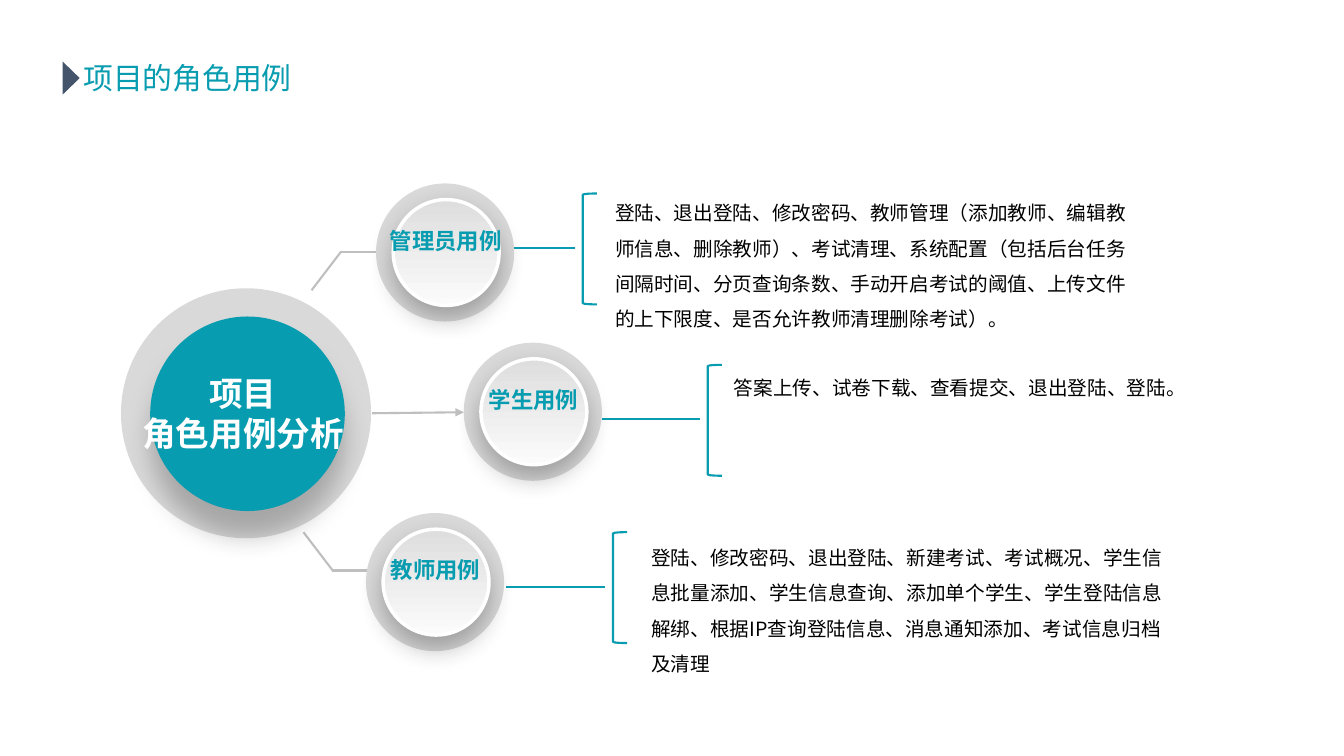
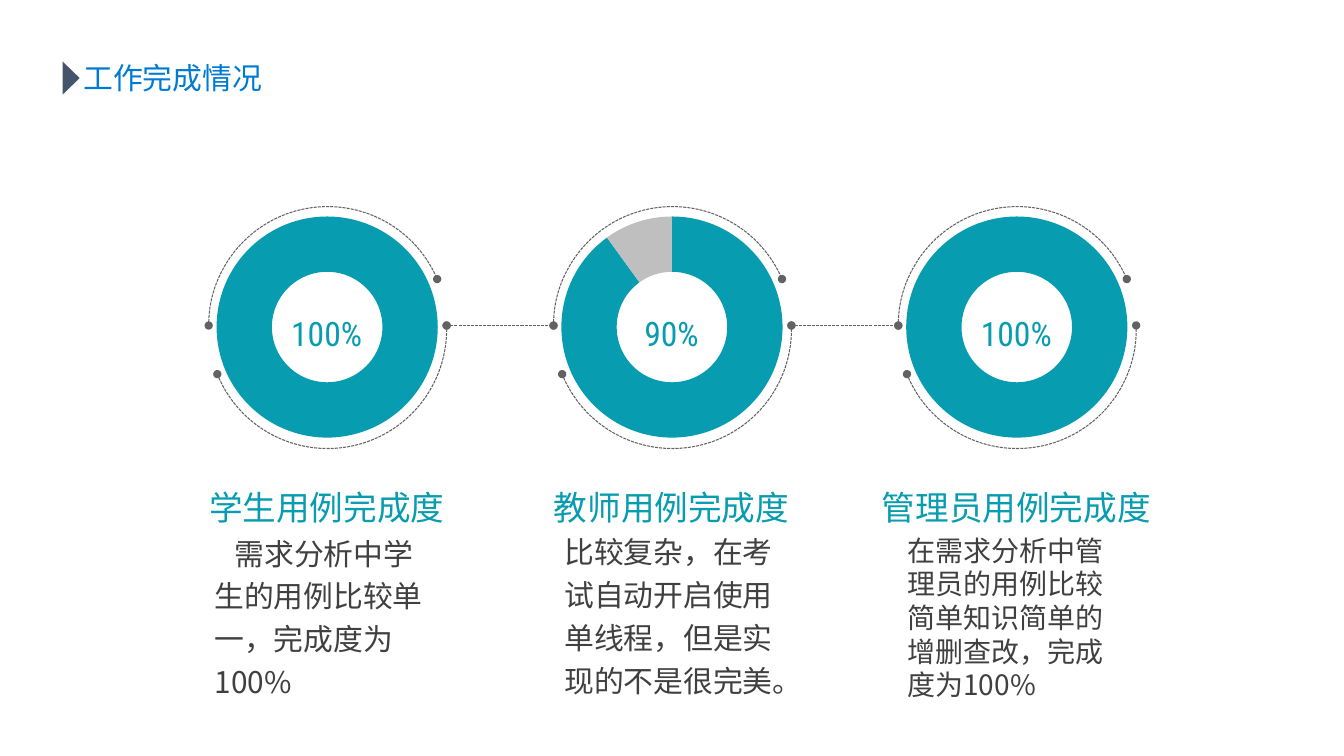
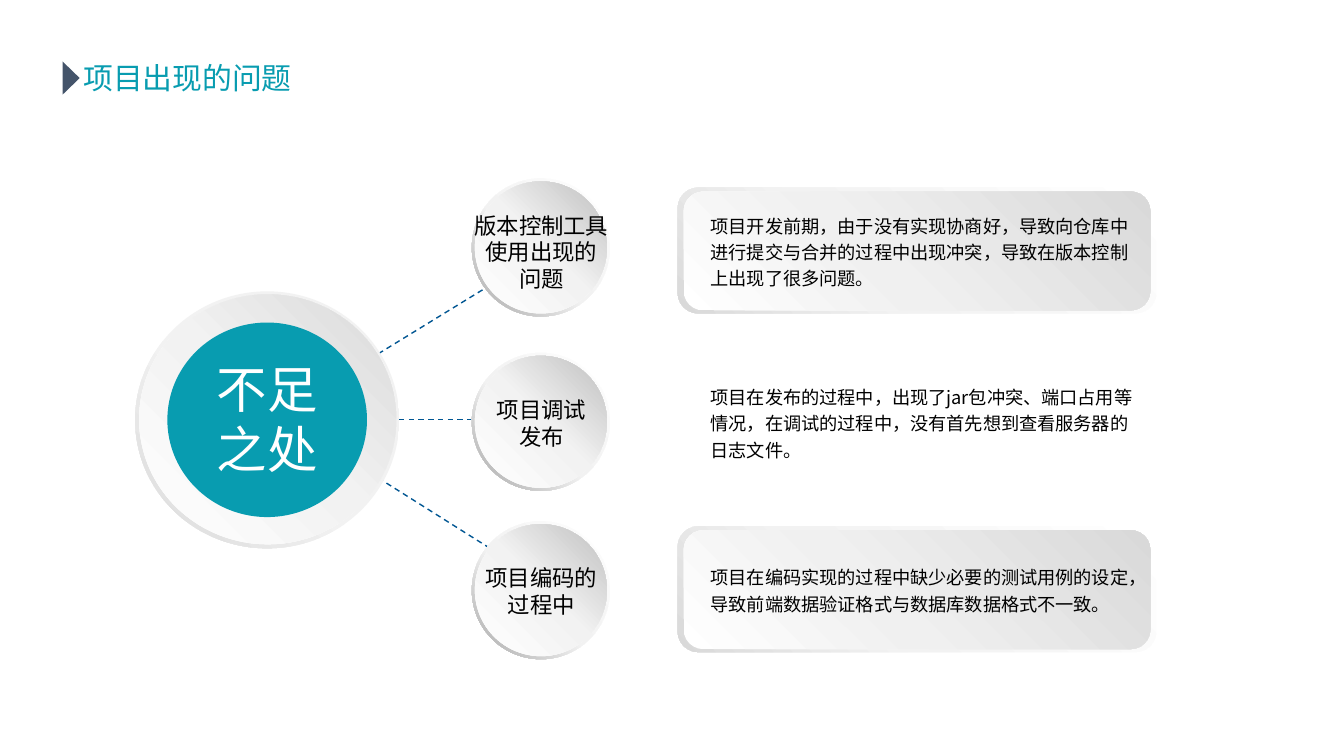
import pptx
import pptx.util
import pptx.oxml
import pptx.oxml.ns
import pptx.chart.data
from pptx.dml.color import RGBColor
from pptx.enum.chart import XL_CHART_TYPE
from pptx.enum.dml import MSO_LINE
from pptx.enum.shapes import MSO_CONNECTOR, MSO_SHAPE
from pptx.enum.text import MSO_ANCHOR, PP_ALIGN

COLORS = {
    "teal": "089CB0", "blue": "007BD4", "navy": "005692", "slate": "44546A",
    "black": "000000", "white": "FFFFFF", "text": "404040", "ring": "D9D9D9",
    "grey": "BFBFBF", "outline": "626262", "shadow": "262626",
}
SANS = "Noto Sans CJK SC"
WIDTH, HEIGHT = 13.33, 7.5

BUTTON = (90, [(0, "DEDEDE"), (100, "FBFBFB")])
DISC_RIM = (135, [(0, "FFFFFF"), (55, "F2F2F2"), (100, "A6A6A6")])
DISC_FACE = (315, [(0, "FFFFFF"), (51, "F2F2F2"), (100, "BFBFBF")])
HUB_RIM = (135, [(0, "F2F2F2"), (55, "F2F2F2"), (100, "D9D9D9")])
HUB_FACE = (315, [(0, "FFFFFF"), (51, "F2F2F2"), (100, "D9D9D9")])
CARD_RIM = (135, [(0, "FFFFFF"), (62, "F2F2F2"), (100, "D9D9D9")])
CARD_FACE = (315, [(0, "FFFFFF"), (42, "F0F0F0"), (100, "D9D9D9")])

ROLES = [
    {"name": "管理员用例", "ring": (3.73, 1.82), "line": (4.35, 5.7, 2.46), "text": (6.1, 1.88, 5.25),
     "body": "登陆、退出登陆、修改密码、教师管理（添加教师、编辑教师信息、删除教师）、考试清理、系统配置（包括后台任务间隔时间、分页查询条数、手动开启考试的阈值、上传文件的上下限度、是否允许教师清理删除考试）。"},
    {"name": "学生用例", "ring": (4.6, 3.4), "line": (5.97, 6.94, 4.16), "text": (7.28, 3.61, 5.13),
     "body": "答案上传、试卷下载、查看提交、退出登陆、登陆。"},
    {"name": "教师用例", "ring": (3.63, 5.09), "line": (5.02, 6, 5.82), "text": (6.46, 5.3, 5.25),
     "body": "登陆、修改密码、退出登陆、新建考试、考试概况、学生信息批量添加、学生信息查询、添加单个学生、学生登陆信息解绑、根据IP查询登陆信息、消息通知添加、考试信息归档及清理"},
]
BRANCHES = [(3.09, 2.88, 3.38, 2.5), (3.37, 2.5, 3.73, 2.5),
            (3.01, 5.28, 3.3, 5.66), (3.29, 5.66, 3.64, 5.66)]

PROGRESS = [
    {"name": "学生用例完成度", "done": 100, "body": "需求分析中学生的用例比较单一，完成度为100%",
     "at": (2.03, 5.18, 2.44, 1.82), "format": {"size": 21.3, "spacing": 1.2, "middle": True, "indent": 0.2}},
    {"name": "教师用例完成度", "done": 90, "body": "比较复杂，在考试自动开启使用单线程，但是实现的不是很完美。",
     "at": (5.5, 5.18, 2.44, 1.79), "format": {"size": 21.3, "spacing": 1.2, "middle": True}},
    {"name": "管理员用例完成度", "done": 100, "body": "在需求分析中管理员的用例比较简单知识简单的增删查改，完成度为100%",
     "at": (8.9, 5.24, 2.38, 1.78), "format": {"size": 20}},
]
PITCH = 3.42
ARCS = [(2.05, 180, 337), (2.09, 358, 158)]

PROBLEMS = [
    {"name": "版本控制工具\n使用出现的\n问题", "disc": 1.77, "middle": 2.48, "card": True,
     "body": "项目开发前期，由于没有实现协商好，导致向仓库中进行提交与合并的过程中出现冲突，导致在版本控制上出现了很多问题。"},
    {"name": "项目调试\n发布", "disc": 3.5, "middle": 4.18, "card": False,
     "body": "项目在发布的过程中，出现了jar包冲突、端口占用等情况，在调试的过程中，没有首先想到查看服务器的日志文件。"},
    {"name": "项目编码的\n过程中", "disc": 5.17, "middle": 5.84, "card": True,
     "body": "项目在编码实现的过程中缺少必要的测试用例的设定，导致前端数据验证格式与数据库数据格式不一致。"},
]
SPOKES = [(3.67, 4.69, 5.13, 5.61), (3.86, 4.16, 5, 4.16), (3.67, 3.56, 5.04, 2.72)]

NS = pptx.oxml.ns.nsdecls("a")
inches = pptx.util.Inches


def rgb(name):
    return RGBColor.from_string(COLORS[name])


def box(*lengths):
    return [inches(v) for v in lengths]


def add_text(slide, text, at, size=14, color="black", font=SANS, bold=False, align=PP_ALIGN.LEFT,
             spacing=None, middle=False, wrap=True, inset=(0.1, 0.05), indent=0):
    tf = slide.shapes.add_textbox(*box(*at)).text_frame
    tf.word_wrap = wrap
    tf.margin_left = tf.margin_right = inches(inset[0])
    tf.margin_top = tf.margin_bottom = inches(inset[1])
    tf.vertical_anchor = MSO_ANCHOR.MIDDLE if middle else MSO_ANCHOR.TOP
    for i, line in enumerate(text.split("\n")):
        p = tf.add_paragraph() if i else tf.paragraphs[0]
        p.alignment = align
        if spacing:
            p.line_spacing = spacing
        if indent:
            p._p.get_or_add_pPr().set("indent", str(inches(indent)))
        r = p.add_run()
        r.text = line
        r.font.size = pptx.util.Pt(size)
        r.font.bold = bold
        r.font.name = font
        r.font.color.rgb = rgb(color)
        r._r.get_or_add_rPr().append(pptx.oxml.parse_xml(f'<a:ea {NS} typeface="{font}"/>'))


def style_line(line, color, width, dash=None):
    line.color.rgb = rgb(color)
    line.width = pptx.util.Pt(width)
    if dash:
        line.dash_style = dash


def add_ends(sp, head=None, tail=None):
    ln = sp.line._get_or_add_ln()
    for tag, kind in (("headEnd", head), ("tailEnd", tail)):
        if kind:
            ln.append(pptx.oxml.parse_xml(f'<a:{tag} {NS} type="{kind}"/>'))


def add_shape(slide, kind, at, fill=None, line=None, adjust=(), shadow=None):
    sp = slide.shapes.add_shape(kind, *box(*at))
    sp.shadow.inherit = False
    for i, value in enumerate(adjust):
        sp.adjustments[i] = value
    if fill is None:
        sp.fill.background()
    elif isinstance(fill, str):
        sp.fill.solid()
        sp.fill.fore_color.rgb = rgb(fill)
    else:
        angle, stops = fill
        sp.fill.gradient()
        grad = sp._element.spPr.find(pptx.oxml.ns.qn("a:gradFill"))
        stop_xml = "".join(f'<a:gs pos="{pos * 1000}"><a:srgbClr val="{c}"/></a:gs>' for pos, c in stops)
        grad.getparent().replace(grad, pptx.oxml.parse_xml(
            f'<a:gradFill {NS} rotWithShape="1"><a:gsLst>{stop_xml}</a:gsLst>'
            f'<a:lin ang="{angle * 60000}" scaled="0"/></a:gradFill>'))
    if line:
        style_line(sp.line, *line)
    else:
        sp.line.fill.background()
    if shadow:
        alpha, blur, distance = shadow
        effects = sp._element.spPr.find(pptx.oxml.ns.qn("a:effectLst"))
        effects.append(pptx.oxml.parse_xml(
            f'<a:outerShdw {NS} blurRad="{blur * 12700}" dist="{distance * 12700}" dir="5400000" '
            f'algn="t" rotWithShape="0"><a:srgbClr val="{COLORS["shadow"]}">'
            f'<a:alpha val="{alpha * 1000}"/></a:srgbClr></a:outerShdw>'))
    return sp


def add_line(slide, ends, color, width, dash=None, head=None, tail=None):
    sp = slide.shapes.add_connector(MSO_CONNECTOR.STRAIGHT, *box(*ends))
    style_line(sp.line, color, width, dash)
    add_ends(sp, head, tail)
    sp._element.spPr.append(pptx.oxml.parse_xml(f"<a:effectLst {NS}/>"))


def add_doughnut(slide, at, done):
    data = pptx.chart.data.CategoryChartData()
    data.categories = ["1", "2"]
    data.add_series("Series 1", [done, 100 - done])
    chart = slide.shapes.add_chart(XL_CHART_TYPE.DOUGHNUT, *box(*at), data).chart
    chart.has_legend = False
    chart.has_title = False
    chart.font.size = pptx.util.Pt(10)
    chart.font.name = "Calibri"
    chart.font.color.rgb = rgb("black")
    plot = chart.plots[0]
    plot.vary_by_categories = True
    plot._element.find(pptx.oxml.ns.qn("c:holeSize")).set("val", "70")
    for i, color in enumerate(("teal", "grey")):
        point = plot.series[0].points[i].format
        point.fill.solid()
        point.fill.fore_color.rgb = rgb(color)
        point.line.fill.background()


def add_page(prs, title, color="teal"):
    slide = prs.slides.add_slide(prs.slide_layouts[6])
    add_text(slide, title, (0.73, 0.54, 0.2 + 0.3 * len(title), 0.46), size=21.3, color=color, wrap=False)
    add_shape(slide, MSO_SHAPE.ISOSCELES_TRIANGLE, (0.54, 0.69, 0.33, 0.17), "slate").rotation = 90
    return slide


def build_roles(prs):
    slide = add_page(prs, "项目的角色用例")
    ring, button = 1.37, 1.05
    add_shape(slide, MSO_SHAPE.OVAL, (1.2, 2.86, 2.48, 2.48), "ring")
    for ends in BRANCHES:
        add_line(slide, ends, "grey", 1.5)
    add_line(slide, (3.69, 4.1, 4.6, 4.09), "grey", 1.5, tail="triangle")
    for role in ROLES:
        x, y = role["ring"]
        start, end, line_y = role["line"]
        text_x, text_y, text_w = role["text"]
        add_line(slide, (start, line_y, end, line_y), "teal", 1.5)
        add_shape(slide, MSO_SHAPE.LEFT_BRACKET, (end + 0.08, line_y - 0.54, 0.14, 1.1), line=("teal", 1.5))
        add_text(slide, role["body"], (text_x, text_y, text_w, 1.11), spacing=1.5, inset=(0, 0))
        add_shape(slide, MSO_SHAPE.OVAL, (x, y, ring, ring), "ring")
        add_shape(slide, MSO_SHAPE.OVAL, (x + 0.17, y + 0.16, button, button), BUTTON,
                  ("white", 2.5), shadow=(33, 18, 8))
        add_text(slide, role["name"], (x + 0.03, y + 0.38, 1.32, 0.37), size=16, color="teal",
                 font="Calibri", bold=True, align=PP_ALIGN.CENTER, wrap=False)
    add_shape(slide, MSO_SHAPE.OVAL, (1.49, 3.14, 1.93, 1.93), "teal", shadow=(28, 18, 18))
    add_text(slide, "项目\n角色用例分析", (1.3, 3.65, 2.22, 0.91), size=24, color="white",
             font="Calibri", bold=True, align=PP_ALIGN.CENTER, wrap=False)


def build_progress(prs):
    slide = add_page(prs, "工作完成情况", "blue")
    dotted = ("outline", 0.75, MSO_LINE.SQUARE_DOT)
    for i, item in enumerate(PROGRESS):
        shift = i * PITCH
        center = 3.24 + shift
        if i:
            add_line(slide, (1.01 + shift, 3.23, 2.07 + shift, 3.23), *dotted, head="oval", tail="oval")
        for top, start, end in ARCS:
            sp = add_shape(slide, MSO_SHAPE.ARC, (2.07 + shift, top, 2.36, 2.36), line=dotted,
                           adjust=(start * 0.6, end * 0.6))
            add_ends(sp, "oval", "oval")
        add_doughnut(slide, (1.39 + shift, 2.01, 3.71, 2.47), item["done"])
        add_text(slide, f'{item["done"]}%', (center - 0.46, 2.98, 0.92, 0.53), size=24, color="teal",
                 font="Roboto Condensed", align=PP_ALIGN.CENTER, spacing=1.2, wrap=False)
        add_text(slide, item["name"], (center - 1.45, 4.7, 2.9, 0.59), size=24, color="teal",
                 align=PP_ALIGN.CENTER, spacing=1.2, wrap=False)
        add_text(slide, item["body"], item["at"], color="text", **item["format"])


def build_problems(prs):
    slide = add_page(prs, "项目出现的问题")
    for ends in SPOKES:
        add_line(slide, ends, "navy", 1, MSO_LINE.DASH)
    for row in PROBLEMS:
        top, middle = row["disc"], row["middle"]
        if row["card"]:
            add_shape(slide, MSO_SHAPE.ROUNDED_RECTANGLE, (6.72, middle - 0.62, 4.75, 1.25), CARD_RIM)
            add_shape(slide, MSO_SHAPE.ROUNDED_RECTANGLE, (6.78, middle - 0.58, 4.63, 1.18), CARD_FACE)
        add_shape(slide, MSO_SHAPE.DONUT, (4.68, top, 1.37, 1.37), DISC_RIM, adjust=(0.05,))
        add_shape(slide, MSO_SHAPE.OVAL, (4.71, top + 0.03, 1.31, 1.31), DISC_FACE)
        add_text(slide, row["name"], (4.56, middle - 0.45, 1.62, 0.94), size=16,
                 align=PP_ALIGN.CENTER, middle=True, wrap=False, inset=(0.13, 0.07))
        add_text(slide, row["body"], (6.95, middle - 0.65, 4.42, 1.3), size=13, spacing=1.2, middle=True)
    add_shape(slide, MSO_SHAPE.DONUT, (1.34, 2.89, 2.62, 2.55), HUB_RIM, adjust=(0.05,))
    add_shape(slide, MSO_SHAPE.OVAL, (1.38, 2.92, 2.55, 2.48), HUB_FACE)
    add_shape(slide, MSO_SHAPE.OVAL, (1.66, 3.2, 1.98, 1.93), "teal")
    add_text(slide, "不足之处", (2.05, 3.5, 1.49, 1.31), size=36, color="white")


def main():
    prs = pptx.Presentation()
    prs.slide_width, prs.slide_height = box(WIDTH, HEIGHT)
    build_roles(prs)
    build_progress(prs)
    build_problems(prs)
    prs.save("out.pptx")


if __name__ == "__main__":
    main()
